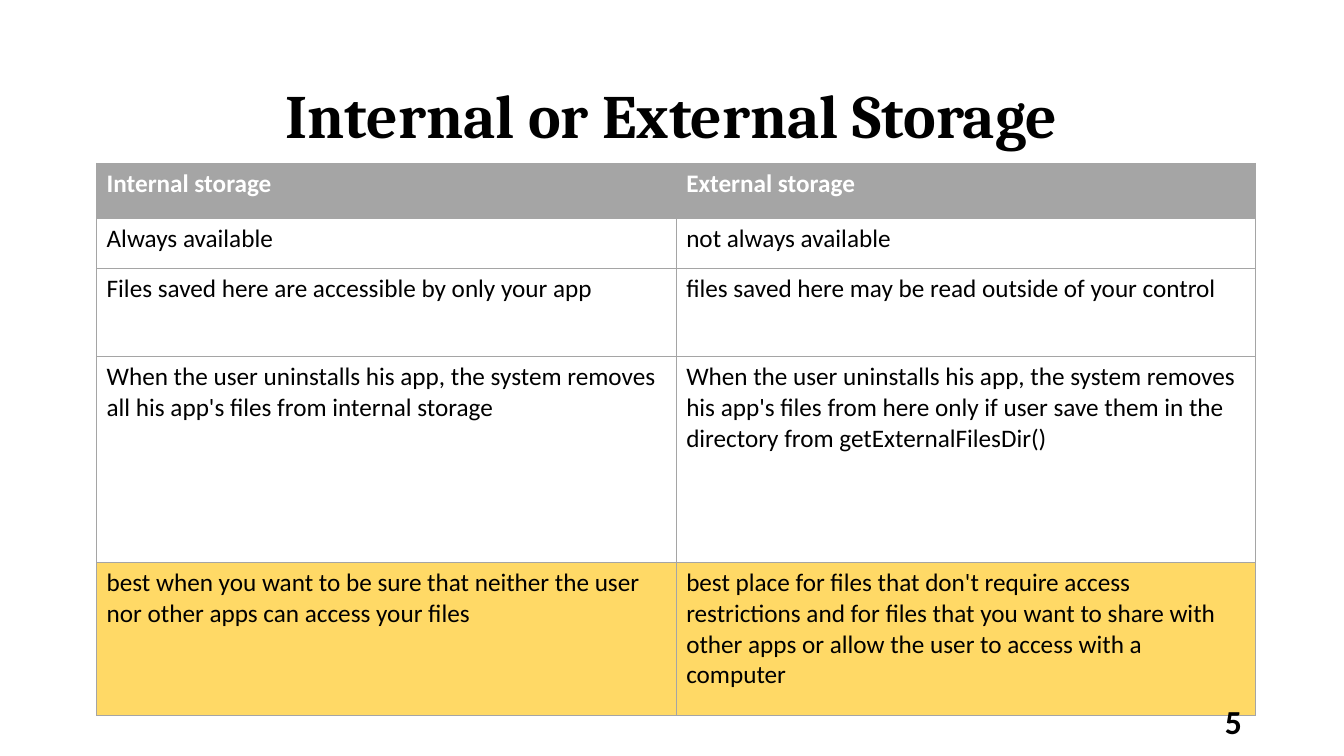
from dataclasses import dataclass

from lxml import etree
from pptx import Presentation
from pptx.dml.color import RGBColor
from pptx.enum.text import MSO_ANCHOR, PP_ALIGN
from pptx.oxml.ns import qn
from pptx.util import Pt

MIDDLE = MSO_ANCHOR.MIDDLE
TOP = MSO_ANCHOR.TOP
LEFT = PP_ALIGN.LEFT
CENTER = PP_ALIGN.CENTER
RIGHT = PP_ALIGN.RIGHT
TITLE_ONLY = 5


@dataclass(frozen=True)
class Theme:
    black: str = "000000"
    white: str = "FFFFFF"
    gray: str = "A5A5A5"
    gold: str = "FFD966"
    head: str = "Cambria"
    body: str = "Calibri"
    big: int = 44
    mid: int = 24
    small: int = 18
    edge: float = 0.5


THEME = Theme()

ROWS = [
    (39.6, "Internal storage", "External storage"),
    (35.3, "Always available", "not always available"),
    (63.4, "Files saved here are accessible by only your app",
     "files saved here may be read outside of your control"),
    (146.9, "When the user uninstalls his app, the system removes "
     "all his app's files from internal storage",
     "When the user uninstalls his app, the system removes his app's files "
     "from here only if user save them in the directory from "
     "getExternalFilesDir()"),
    (109.4, "best when you want to be sure that neither the user "
     "nor other apps can access your files",
     "best place for files that don't require access restrictions and for "
     "files that you want to share with other apps or allow the user to "
     "access with a computer"),
]


def place(shape, left, top, width, height):
    box = {"left": left, "top": top, "width": width, "height": height}
    for name, value in box.items():
        setattr(shape, name, Pt(value))


def write(frame, text, size, face, color, bold, align):
    para = frame.paragraphs[0]
    para.alignment = align
    run = para.add_run()
    run.text = text
    style = {"size": Pt(size), "name": face, "bold": bold}
    for name, value in style.items():
        setattr(run.font, name, value)
    run.font.color.rgb = RGBColor.from_string(color)


def set_frame(frame, anchor):
    frame.word_wrap = True
    frame.vertical_anchor = anchor


def add_title(slide, text):
    title = slide.shapes.title
    place(title, 66, 28.8, 828, 104.4)
    set_frame(title.text_frame, MIDDLE)
    write(title.text_frame, text, THEME.big, THEME.head, THEME.black,
          True, CENTER)


def add_edges(cell):
    props = cell._tc.get_or_add_tcPr()
    for spot, side in enumerate(("lnL", "lnR", "lnT", "lnB")):
        line = etree.Element(qn(f"a:{side}"), w=str(Pt(THEME.edge)))
        fill = etree.SubElement(line, qn("a:solidFill"))
        etree.SubElement(fill, qn("a:srgbClr"), val=THEME.gray)
        props.insert(spot, line)


def fill_cell(cell, text, fill, color, bold):
    if fill:
        cell.fill.solid()
        cell.fill.fore_color.rgb = RGBColor.from_string(fill)
    else:
        cell.fill.background()
    cell.vertical_anchor = TOP
    write(cell.text_frame, text, THEME.small, THEME.body, color, bold, LEFT)
    add_edges(cell)


def add_grid(slide, rows):
    high = sum(row[0] for row in rows)
    table = slide.shapes.add_table(
        len(rows), 2, Pt(69), Pt(116.6), Pt(828), Pt(high)).table
    table.first_row = True
    table.horz_banding = False
    fills = {0: THEME.gray, len(rows) - 1: THEME.gold}
    for r, (height, *texts) in enumerate(rows):
        table.rows[r].height = Pt(height)
        color = THEME.black if r else THEME.white
        for c, text in enumerate(texts):
            fill_cell(table.cell(r, c), text, fills.get(r), color, r == 0)


def add_number(slide, text):
    box = slide.shapes.add_textbox(Pt(678.2), Pt(500.4), Pt(216), Pt(28.8))
    set_frame(box.text_frame, MIDDLE)
    write(box.text_frame, text, THEME.mid, THEME.body, THEME.black,
          True, RIGHT)


def main():
    deck = Presentation()
    deck.slide_width, deck.slide_height = Pt(960), Pt(540)
    slide = deck.slides.add_slide(deck.slide_layouts[TITLE_ONLY])
    add_title(slide, "Internal or External Storage")
    add_grid(slide, ROWS)
    add_number(slide, "5")
    deck.save("out.pptx")


if __name__ == "__main__":
    main()
